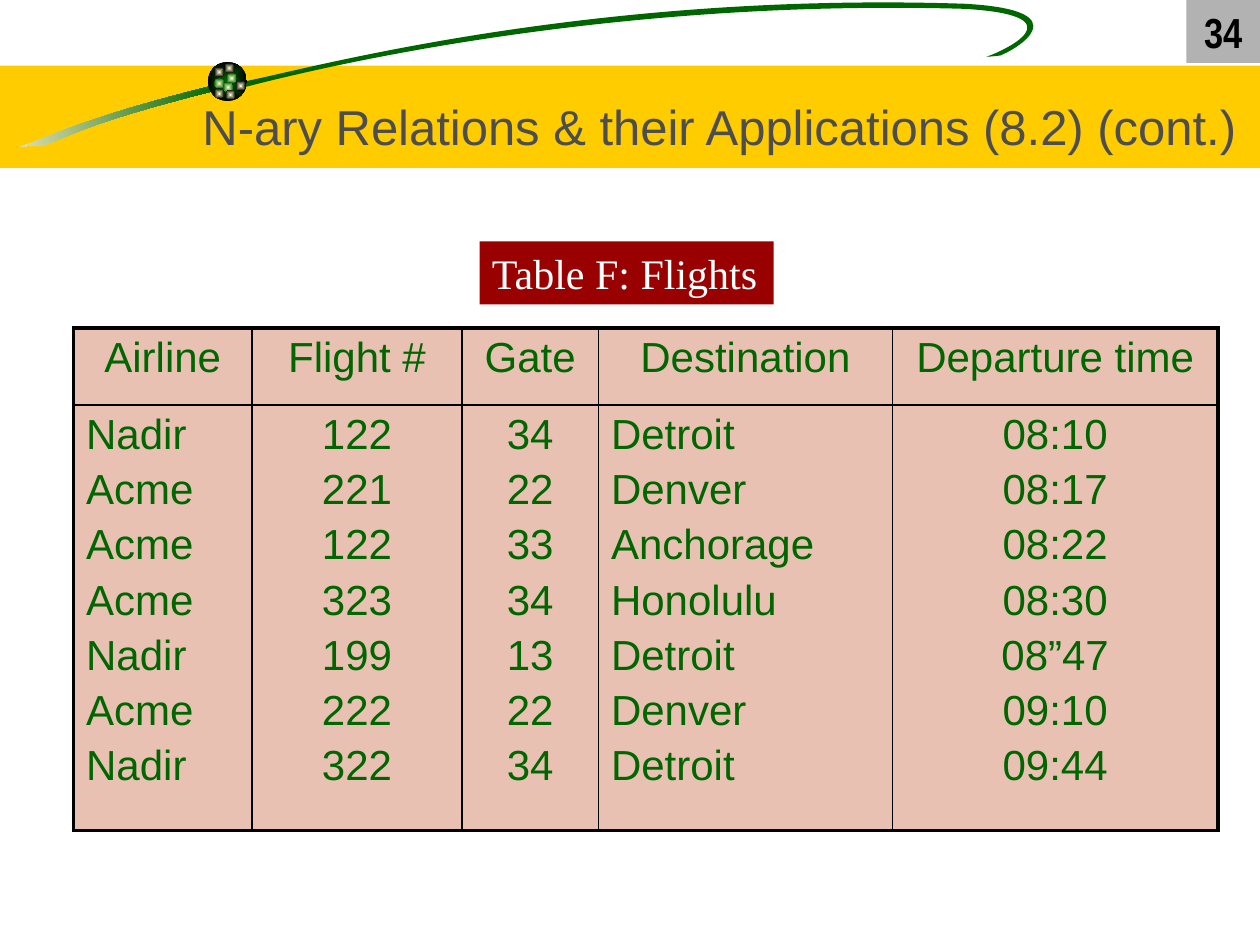
from collections import namedtuple
from math import cos, radians, sin
from pptx import Presentation
from pptx.dml.color import RGBColor
from pptx.enum.shapes import MSO_SHAPE as Preset
from pptx.enum.text import MSO_ANCHOR as Anchor, PP_ALIGN as Align
from pptx.oxml import parse_xml
from pptx.oxml.ns import nsdecls, qn
from pptx.util import Inches, Pt

UNIT = Inches(1) / 12  # the slide is a grid of 120 columns by 90 rows
COLUMNS, ROWS = 120, 90
GREEN, CREAM, BLACK = "006600", "FFFFCC", "000000"
TILT = -8.5  # degrees by which both strokes are turned
Box = namedtuple("Box", "left top width height")

# Bezier outlines in percent of the header's width: start, then control, control, end
TAIL = [(16.9, 6.8), (8.7, 8.8), (4.8, 10.4), (2.6, 11.3), (0.3, 12.1), (2.7, 11.3), (3.1, 11.6),
        (5.5, 11), (5.6, 10.1), (17, 7.2), (17, 7.2), (16.9, 6.8), (16.9, 6.8)]
SWOOSH = [(19.2, 6.5), (23.3, 5.8), (45.8, -0.7), (76.5, 0.3), (86.1, 0.8), (80.5, 4), (79.4, 4.4),
          (79.4, 4.4), (78.7, 4.5), (78.3, 4.5), (79.3, 4.2), (86.1, 1.2), (76.4, 0.7),
          (51.6, 0), (30.3, 4.1), (19.5, 6.9), (19.5, 6.9), (19.2, 6.5), (19.2, 6.5)]
TAIL_CENTER, SWOOSH_CENTER = (8.6, 9.45), (52.6, 3.3)
# Left and top of each dot as shares of the ball, and its outer colour
DOTS = [(0.48, 0.29, GREEN), (0.16, 0.13, BLACK), (0.16, 0.42, GREEN), (0.39, 0.52, GREEN),
        (0.71, 0.48, BLACK), (0.45, 0.71, BLACK), (0.16, 0.68, BLACK), (0.42, 0.03, BLACK)]

HEADINGS = ["Airline", "Flight #", "Gate", "Destination", "Departure time"]
FLIGHTS = [
    ("Nadir", "122", "34", "Detroit", "08:10"),
    ("Acme", "221", "22", "Denver", "08:17"),
    ("Acme", "122", "33", "Anchorage", "08:22"),
    ("Acme", "323", "34", "Honolulu", "08:30"),
    ("Nadir", "199", "13", "Detroit", "08”47"),
    ("Acme", "222", "22", "Denver", "09:10"),
    ("Nadir", "322", "34", "Detroit", "09:44"),
]
COLUMN_SPANS = [17, 20, 13, 28, 31]
LEFT_COLUMNS = {0, 3}


def color(code):
    return RGBColor.from_string(code)


def units(*lengths):
    return [round(length * UNIT) for length in lengths]


def write(frame, lines, size=24, font="Arial", ink=GREEN, bold=False, align=Align.LEFT,
          anchor=Anchor.TOP, before=0, wrap=True):
    frame.word_wrap = wrap
    frame.vertical_anchor = anchor
    for index, line in enumerate(lines):
        para = frame.paragraphs[0] if index == 0 else frame.add_paragraph()
        para.alignment = align
        para.space_before = Pt(before)
        span = para.add_run()
        span.text = line
        span.font.size, span.font.name, span.font.bold = Pt(size), font, bold
        span.font.color.rgb = color(ink)


def paint(shape, fills, radial=False):
    """Fill with one colour, or with a gradient between two, and no line."""
    shape.shadow.inherit = False
    shape.line.fill.background()
    if len(fills) == 1:
        shape.fill.solid()
        shape.fill.fore_color.rgb = color(fills[0])
        return
    shape.fill.gradient()
    shape.fill.gradient_angle = 0
    for stop, place, code in zip(shape.fill.gradient_stops, (0, 1), fills):
        stop.position = place
        stop.color.rgb = color(code)
    if radial:
        gradient = shape._element.spPr.find(qn("a:gradFill"))
        gradient.remove(gradient.find(qn("a:lin")))
        gradient.append(parse_xml(
            f'<a:path {nsdecls("a")} path="shape">'
            '<a:fillToRect l="50000" t="50000" r="50000" b="50000"/></a:path>'))


def add_preset(page, preset, box, *fills, radial=False):
    shape = page.shapes.add_shape(preset, *units(*box))
    paint(shape, fills, radial)
    return shape


def turn(points, center, degrees):
    c, s = cos(radians(degrees)), sin(radians(degrees))
    moved = [(x - center[0], y - center[1]) for x, y in points]
    return [(center[0] + x * c - y * s, center[1] + x * s + y * c) for x, y in moved]


def bend(shape):
    """Turn every three line segments of a freeform into one cubic curve."""
    segments = list(shape._element.iter(qn("a:lnTo")))
    for first in range(0, len(segments), 3):
        curve = parse_xml(f'<a:cubicBezTo {nsdecls("a")}/>')
        segments[first].addprevious(curve)
        for segment in segments[first:first + 3]:
            curve.append(segment[0])
            segment.getparent().remove(segment)


def add_stroke(page, box, points, center, *fills):
    percent = box.width / 100
    outline = [units(box.left + x * percent, box.top + y * percent)
               for x, y in turn(points, center, -TILT)]
    builder = page.shapes.build_freeform(*outline[0])
    builder.add_line_segments(outline[1:], close=True)
    stroke = builder.convert_to_shape()
    bend(stroke)
    stroke.rotation = TILT
    paint(stroke, fills)


def add_ball(page, box):
    add_preset(page, Preset.OVAL, box, GREEN, BLACK, radial=True)
    size = box.width * 0.26
    for x, y, edge in DOTS:
        dot = Box(box.left + x * box.width, box.top + y * box.height, size, size)
        add_preset(page, Preset.OVAL, dot, CREAM, edge, radial=True)


def add_header(page, box):
    band_top = box.top + 6.25
    band = Box(box.left, band_top, box.width, box.top + box.height - band_top)
    add_preset(page, Preset.RECTANGLE, band, "FFCC00")
    add_stroke(page, box, TAIL, TAIL_CENTER, "F5EBC1", GREEN)
    add_stroke(page, box, SWOOSH, SWOOSH_CENTER, GREEN)
    add_ball(page, Box(box.left + 19.8, box.top + 5.9, 3.72, 3.72))

    number = add_preset(page, Preset.RECTANGLE,
                        Box(box.left + box.width - 7, box.top, 7, 6), "B2B2B2")
    write(number.text_frame, ["34"], font="Arial Narrow", ink=BLACK, bold=True,
          align=Align.CENTER, anchor=Anchor.MIDDLE)
    title = page.shapes.add_textbox(*units(box.left + 17, box.top + 7, box.width - 17, 10))
    write(title.text_frame, ["N-ary Relations & their Applications (8.2) (cont.)"],
          size=28, ink="4D4D4D", align=Align.CENTER, anchor=Anchor.MIDDLE)


def add_borders(cell, outer):
    """Draw all four sides, thick on those named in outer."""
    for side in "LRTB":
        width = Pt(2.25 if side in outer else 1)
        cell._tc.get_or_add_tcPr().append(parse_xml(
            f'<a:ln{side} {nsdecls("a")} w="{width}"><a:solidFill>'
            f'<a:srgbClr val="{BLACK}"/></a:solidFill></a:ln{side}>'))


def add_flights(page, box):
    heights = [7.33, box.height - 7.33]
    last = len(HEADINGS) - 1
    table = page.shapes.add_table(2, len(HEADINGS), *units(*box)).table
    for row, height in zip(table.rows, units(*heights)):
        row.height = height
    for index, (heading, values) in enumerate(zip(HEADINGS, zip(*FLIGHTS))):
        share = COLUMN_SPANS[index] / sum(COLUMN_SPANS)
        table.columns[index].width = units(box.width * share)[0]
        sides = ("L" if index == 0 else "") + ("R" if index == last else "")
        body_align = Align.LEFT if index in LEFT_COLUMNS else Align.CENTER
        parts = [([heading], Align.CENTER, "T"), (values, body_align, "B")]
        for row, (lines, align, edge) in enumerate(parts):
            cell = table.cell(row, index)
            add_borders(cell, sides + edge)
            cell.fill.solid()
            cell.fill.fore_color.rgb = color("E9C1B3")
            write(cell.text_frame, lines, align=align, before=4.8)


def add_caption(page, box):
    caption = add_preset(page, Preset.RECTANGLE, box, "990000")
    write(caption.text_frame, ["Table F: Flights"], font="Times New Roman", ink="FFFFFF",
          anchor=Anchor.MIDDLE, wrap=False)


def main():
    deck = Presentation()
    deck.slide_width, deck.slide_height = units(COLUMNS, ROWS)
    page = deck.slides.add_slide(deck.slide_layouts[6])
    add_header(page, Box(0, 0, COLUMNS, 16))
    add_flights(page, Box(7, 31.25, 109, 47.87))
    add_caption(page, Box(45.67, 23, 28, 6))
    deck.save("out.pptx")


if __name__ == "__main__":
    main()
